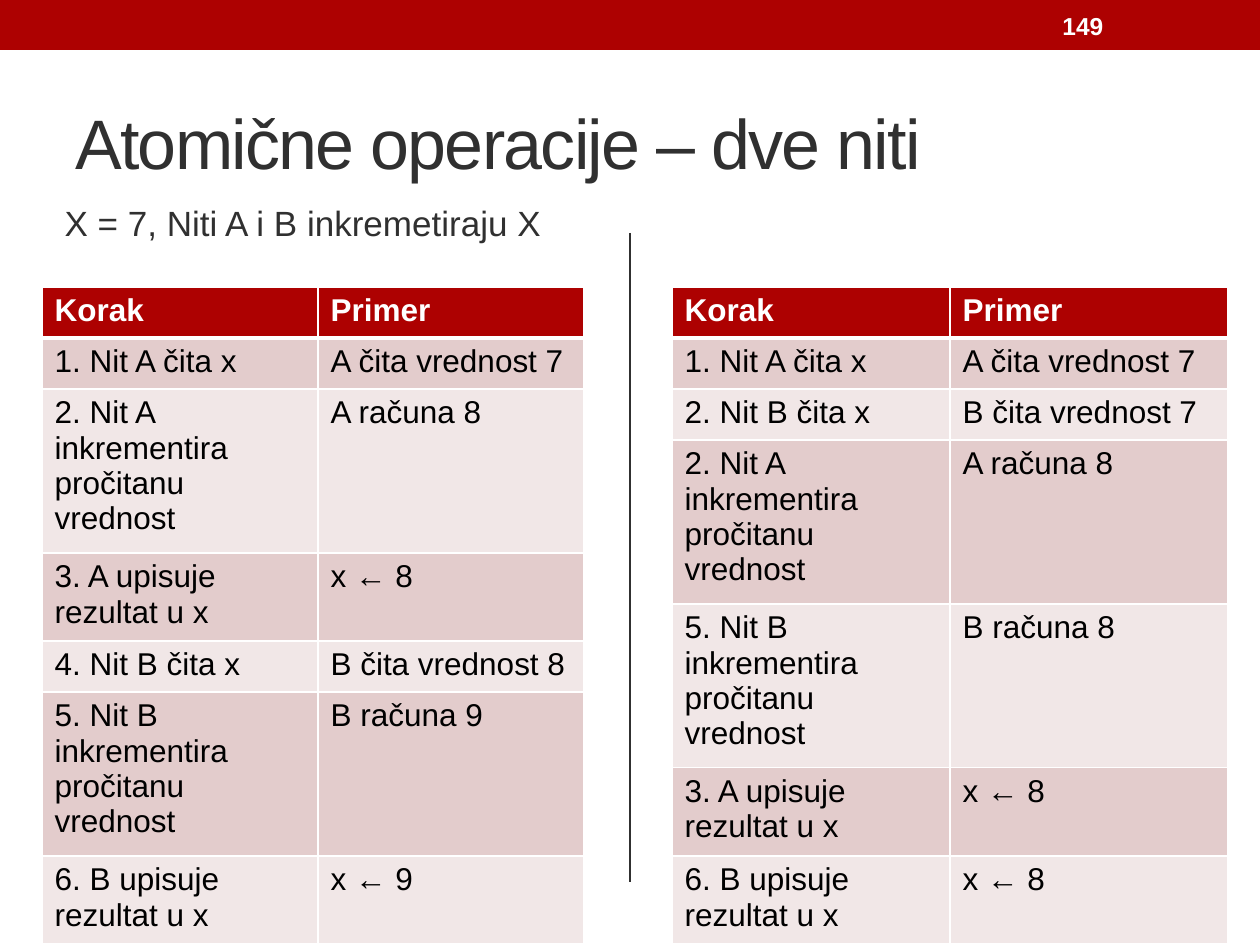
"""Build a slide comparing two interleavings of threads A and B."""
from dataclasses import dataclass
from typing import Any

from lxml.etree import SubElement
from pptx import Presentation
from pptx.dml.color import RGBColor
from pptx.enum.shapes import MSO_CONNECTOR as CONN, MSO_SHAPE as SHAPE
from pptx.enum.text import MSO_ANCHOR as ANCHOR, PP_ALIGN as ALIGN
from pptx.oxml.ns import qn
from pptx.util import Emu, Pt

RED, DARK, WHITE, BLACK = "AD0101", "303030", "FFFFFF", "000000"
BANDS = ("E3CCCC", "F1E7E7")
ROW_H = 51

READ_A = ("1. Nit A čita x", "A čita vrednost 7")
INC_A = ("2. Nit A inkrementira pročitanu vrednost", "A računa 8")
WRITE_A = ("3. A upisuje rezultat u x", "x ← 8")
INC_B = "5. Nit B inkrementira pročitanu vrednost"
WRITE_B = "6. B upisuje rezultat u x"


@dataclass(frozen=True)
class Label:
    """A line of text in a box, with its font size, colour and format."""
    box: tuple[int, int, int, int]
    text: str
    size: int
    color: str
    bold: bool = False
    align: ALIGN = ALIGN.LEFT
    spacing: int = 0


@dataclass(frozen=True)
class StepTable:
    """A table of steps and examples."""
    left: int
    top: int
    widths: tuple[int, int]
    steps: tuple[tuple[str, str], ...]


LABELS = (
    Label((63, 73, 1134, 136), "Atomične operacije – dve niti", 40, DARK, spacing=-100),
    Label((32, 179, 542, 88), "X = 7, Niti A i B inkremetiraju X", 20, DARK, align=ALIGN.CENTER),
    Label((1050, 3, 147, 45), "149", 14, WHITE, bold=True),
)

TABLES = (
    StepTable(42, 287, (276, 266), (
        READ_A, INC_A, WRITE_A,
        ("4. Nit B čita x", "B čita vrednost 8"),
        (INC_B, "B računa 9"), (WRITE_B, "x ← 9"))),
    StepTable(672, 287, (278, 278), (
        READ_A, ("2. Nit B čita x", "B čita vrednost 7"), INC_A,
        (INC_B, "B računa 8"), WRITE_A, (WRITE_B, "x ← 8"))),
)


def px(n: int) -> Emu:
    """Turn px into EMU at 126 px to the inch."""
    return Emu(round(n * 914400 / 126))


def rgb(color: str) -> RGBColor:
    """Turn a hex string into a colour."""
    return RGBColor.from_string(color)


def set_all(obj: Any, values: dict[str, Any]) -> None:
    """Set each named attribute of an object."""
    for name, value in values.items():
        setattr(obj, name, value)


def write(tf: Any, text: str, size: int, color: str, bold: bool = False) -> Any:
    """Write one run into a text frame and return it."""
    r = tf.paragraphs[0].add_run()
    r.text = text
    set_all(r.font, {"name": "Arial", "size": Pt(size), "bold": bold})
    r.font.color.rgb = rgb(color)
    return r


def add_label(slide: Any, label: Label) -> None:
    """Draw a vertically centred line of text."""
    tf = slide.shapes.add_textbox(*map(px, label.box)).text_frame
    set_all(tf, {"word_wrap": True, "vertical_anchor": ANCHOR.MIDDLE})
    r = write(tf, label.text, label.size, label.color, label.bold)
    tf.paragraphs[0].alignment = label.align
    if label.spacing:
        r.font._element.set("spc", str(label.spacing))


def add_borders(cell: Any, widths: dict[str, int]) -> None:
    """Give a cell white borders with the given widths in points."""
    tc_pr = cell._tc.get_or_add_tcPr()
    for side, width in widths.items():
        ln = SubElement(tc_pr, qn(f"a:ln{side}"), w=str(Pt(width)))
        fill = SubElement(ln, qn("a:solidFill"))
        SubElement(fill, qn("a:srgbClr"), val=WHITE)


def add_steps(slide: Any, table: StepTable) -> None:
    """Draw a table with a red header and banded rows."""
    rows = (("Korak", "Primer"), *table.steps)
    box = (table.left, table.top, sum(table.widths), ROW_H * len(rows))
    tbl = slide.shapes.add_table(len(rows), 2, *map(px, box)).table
    for col, width in zip(tbl.columns, table.widths):
        col.width = px(width)
    for i, texts in enumerate(rows):
        tbl.rows[i].height = px(ROW_H)
        head = i == 0
        fill = RED if head else BANDS[(i - 1) % 2]
        widths = {"L": 1, "R": 1, "T": 3 if i == 1 else 1, "B": 3 if head else 1}
        for j, text in enumerate(texts):
            cell = tbl.cell(i, j)
            write(cell.text_frame, text, 18, WHITE if head else BLACK, head)
            add_borders(cell, widths)
            cell.fill.solid()
            cell.fill.fore_color.rgb = rgb(fill)


def add_bar(slide: Any) -> None:
    """Draw the red bar along the top."""
    sp = slide.shapes.add_shape(SHAPE.RECTANGLE, *map(px, (0, 0, 1260, 50)))
    sp.shadow.inherit = False
    sp.fill.solid()
    sp.fill.fore_color.rgb = rgb(RED)
    sp.line.fill.background()


def add_divider(slide: Any) -> None:
    """Draw the vertical line between the tables."""
    line = slide.shapes.add_connector(CONN.STRAIGHT, *map(px, (630, 233, 630, 882)))
    line.line.color.rgb = rgb(DARK)
    line.line.width = Pt(1.5)
    SubElement(line._element.spPr, qn("a:effectLst"))


def main() -> None:
    """Build and save the slide."""
    prs = Presentation()
    set_all(prs, {"slide_width": px(1260), "slide_height": px(945)})
    s = prs.slides.add_slide(prs.slide_layouts[6])
    add_bar(s)
    add_divider(s)
    for label in LABELS:
        add_label(s, label)
    for table in TABLES:
        add_steps(s, table)
    prs.save("out.pptx")


if __name__ == "__main__":
    main()
